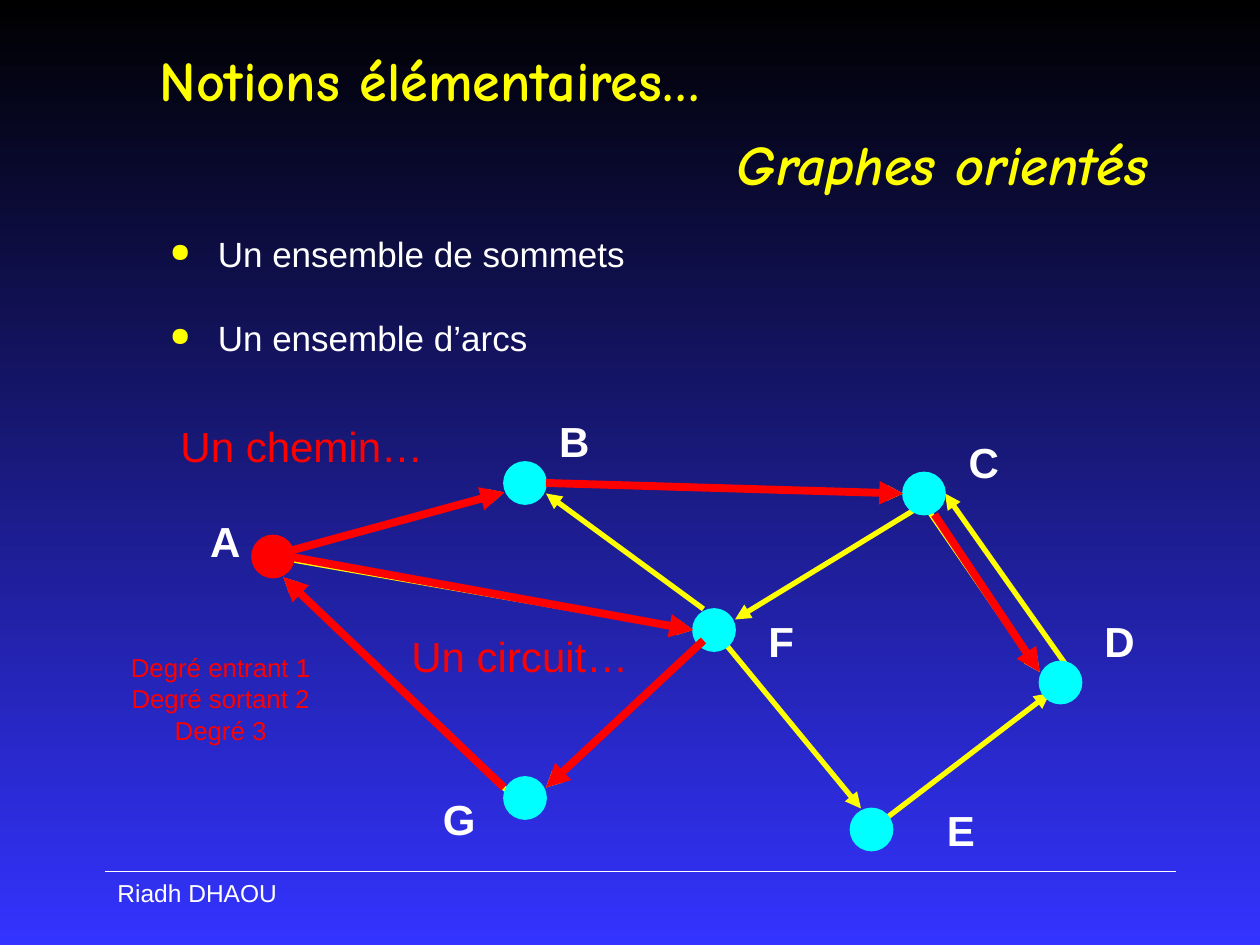
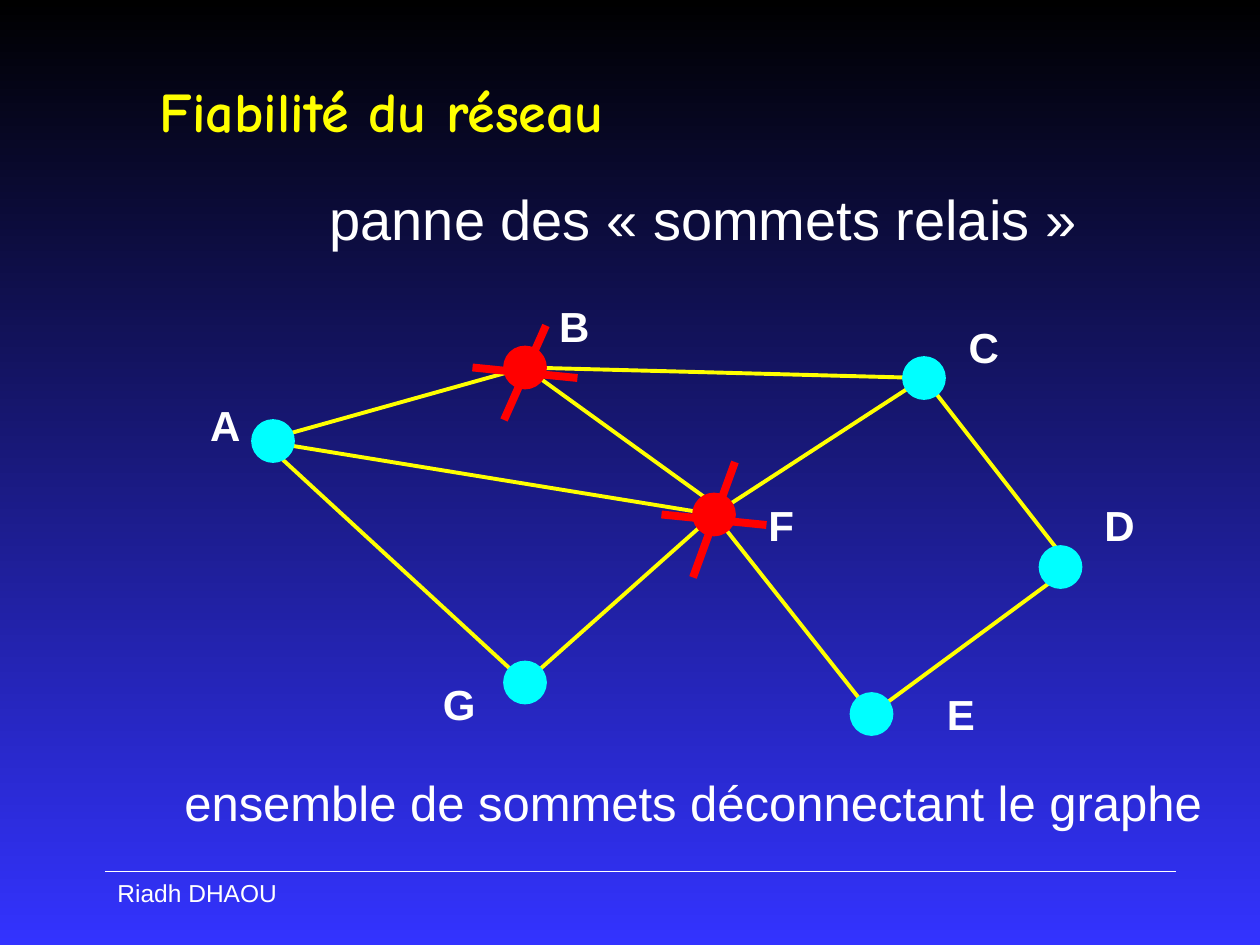
from typing import NamedTuple

from lxml import etree
from pptx import Presentation
from pptx import util as u
from pptx.dml.color import RGBColor
from pptx.enum import shapes, text
from pptx.oxml import ns

HUE = {"top": "000000", "base": "3333FF", "head": "FFFF00", "ink": "FFFFFF",
       "node": "00FFFF", "hot": "FF0000"}
SANS, HAND = "Arial", "Comic Neue"
COLS, ROWS = 120, 90  # grid of the slide, one cell is 1/12 inch
DOT = 4  # node size in cells
LIFT = 11  # rows the graph moves up on the second slide


class Node(NamedTuple):
    name: str
    col: float
    row: float
    tag: tuple[float, float]  # place of the label
    wide: float


class Edge(NamedTuple):
    start: tuple[float, float]
    end: tuple[float, float]


class Style(NamedTuple):
    size: float
    hue: str = "ink"
    font: str = SANS
    bold: bool = False
    slant: bool = False
    align: text.PP_ALIGN = text.PP_ALIGN.LEFT
    lead: float = 1.0
    gap: float = 0


HEAD = Style(32, "head", HAND, bold=True)
ITEM = Style(20, lead=0.9)
NOTE = Style(24, "hot", lead=0.9)
TAG = Style(24, bold=True)

NODES = [
    Node("A", 24, 51, (18.84, 48.5), 5.28),
    Node("B", 48, 44, (52.08, 39), 5.28),
    Node("C", 86, 45, (91.08, 41), 5.28),
    Node("D", 99, 63, (104, 58), 5.28),
    Node("E", 81, 77, (89, 76), 5.04),
    Node("F", 66, 58, (72, 58), 4.8),
    Node("G", 48, 74, (41, 75), 5.52),
]

# Arcs of the directed graph
AB = Edge((26, 52.9), (48, 46.9))
GA = Edge((48, 75), (27, 55))
ARCS = [
    Edge((102, 64), (90, 47)), AB, Edge((26, 53), (66, 60)),
    Edge((68, 60), (52, 75)), Edge((49, 76), (27, 55)),
    Edge((67, 58), (52, 47)), Edge((50, 46), (86, 47)),
    Edge((88, 48), (70, 59)), Edge((68, 60), (82, 77)),
    Edge((83, 79), (100, 66)), Edge((88, 48), (99, 64)),
]
WAY = [AB, Edge((52, 46), (86, 47)), Edge((89, 49), (99, 64))]
LOOP = [Edge((27, 52.9), (66, 60)), Edge((67, 61), (52, 75)), GA]
NEAR = [AB, GA, Edge((28, 53), (66, 60))]

# Links of the network; f is the upper joint of node F
ENDS = {"A": (25, 42), "B": (50, 35), "C": (88, 36), "D": (102, 54),
        "E": (83, 68), "F": (68, 49), "f": (68, 48), "G": (50, 65)}
LINKS = [Edge(ENDS[a], ENDS[b])
         for a, b in "AB Bf FG GA AF FC CD DE EF BC".split()]
CUTS = [Edge((66, 55), (70, 44)), Edge((63, 49), (73, 50)),
        Edge((52, 31), (48, 40)), Edge((45, 35), (55, 36))]


def cell(*vals: float) -> list[int]:
    return [u.Inches(v / 12) for v in vals]


def rgb(hue: str) -> RGBColor:
    return RGBColor.from_string(HUE[hue])


def sub(node, name: str, **keys: str):
    return etree.SubElement(node, ns.qn(name), **keys)


def bullet(para) -> None:
    props = para._p.get_or_add_pPr()
    props.set("marL", str(u.Inches(0.38)))
    props.set("indent", str(-u.Inches(0.38)))
    sub(sub(props, "a:buClr"), "a:srgbClr", val=HUE["head"])
    sub(props, "a:buSzPct", val="75000")
    sub(props, "a:buChar", char="●")


def write(shape, lines: list[str], style: Style, mid: bool = False,
          wrap: bool = True, dots: bool = False) -> None:
    frame = shape.text_frame
    frame.word_wrap = wrap
    frame.auto_size = text.MSO_AUTO_SIZE.NONE
    frame.vertical_anchor = (text.MSO_ANCHOR.MIDDLE if mid
                             else text.MSO_ANCHOR.TOP)
    frame.text = "\n".join(lines)
    for i, para in enumerate(frame.paragraphs):
        if dots:
            bullet(para)
        para.alignment = style.align
        para.line_spacing = style.lead
        para.space_before = u.Pt(style.gap if i else 0)
        font = para.font
        font.name, font.size = style.font, u.Pt(style.size)
        font.bold, font.italic = style.bold, style.slant
        font.color.rgb = rgb(style.hue)


def label(slide, box: tuple, lines: list[str], style: Style, **keys) -> None:
    write(slide.shapes.add_textbox(*cell(*box)), lines, style, **keys)


def draw(slide, edges: list[Edge], hue: str, width: float,
         arrow: bool = False) -> None:
    for edge in edges:
        line = slide.shapes.add_connector(
            shapes.MSO_CONNECTOR.STRAIGHT, *cell(*edge.start, *edge.end))
        line.line.color.rgb = rgb(hue)
        line.line.width = u.Pt(width)
        if arrow:
            sub(line.line._get_or_add_ln(), "a:tailEnd", type="triangle")
        sub(line._element.spPr, "a:effectLst")


def plot(slide, hot: str, lift: float = 0) -> None:
    """Draw the nodes and their letters; those in hot are red."""
    for node in NODES:
        dot = slide.shapes.add_shape(
            shapes.MSO_SHAPE.OVAL, *cell(node.col, node.row - lift, DOT, DOT))
        dot.shadow.inherit = False
        dot.fill.solid()
        hue = rgb("hot" if node.name in hot else "node")
        dot.fill.fore_color.rgb = dot.line.color.rgb = hue
        dot.line.width = u.Pt(1)
    for node in NODES:
        col, row = node.tag
        label(slide, (col, row - lift, node.wide, 6), [node.name], TAG,
              wrap=False)


def page(deck, name: str, tall: float):
    """Add a slide with its title and footer."""
    slide = deck.slides.add_slide(deck.slide_layouts.get_by_name("Title Only"))
    title = slide.shapes.title
    title.left, title.top, title.width, title.height = cell(14, 3, 102, tall)
    write(title, [name], HEAD, mid=True)
    draw(slide, [Edge((10, 83), (112, 83))], "ink", 1)
    label(slide, (10, 83, 23, 4), ["Riadh DHAOU"], Style(14))
    return slide


def graph(deck) -> None:
    slide = page(deck, "Notions élémentaires…", 9)
    label(slide, (69, 11, 47, 9), ["Graphes orientés"],
          HEAD._replace(slant=True), mid=True)
    for i, item in enumerate(["Un ensemble de sommets", "Un ensemble d’arcs"]):
        label(slide, (15, 22 + 8 * i, 78.6, 7.4), [item], ITEM, dots=True)
    draw(slide, ARCS, "head", 3, arrow=True)
    plot(slide, "A")
    # Path, circuit and degrees
    draw(slide, WAY + LOOP, "hot", 4.5, arrow=True)
    draw(slide, NEAR, "hot", 3, arrow=True)
    label(slide, (16, 40, 26, 7.4), ["Un chemin…"], NOTE)
    label(slide, (38, 60, 24, 7.4), ["Un circuit…"], NOTE)
    label(slide, (4, 62, 34, 10),
          ["Degré entrant 1", "Degré sortant 2", "Degré 3"],
          Style(14.8, "hot", align=text.PP_ALIGN.CENTER, lead=0.8, gap=4))


def fault(deck) -> None:
    slide = page(deck, "Fiabilité du réseau", 15)
    mid = text.PP_ALIGN.CENTER
    label(slide, (14, 17, 106, 8.5), ["panne des «\u00a0sommets relais\u00a0»"],
          Style(32, align=mid))
    draw(slide, LINKS, "head", 2.25)
    plot(slide, "BF", LIFT)
    label(slide, (12, 73, 108, 8.4),
          ["ensemble de sommets déconnectant le graphe"],
          Style(28, align=mid))
    # Crosses on the failed nodes
    draw(slide, CUTS, "hot", 4.5)


def main() -> None:
    deck = Presentation()
    deck.slide_width, deck.slide_height = cell(COLS, ROWS)
    # Shared background
    fill = deck.slide_master.background.fill
    fill.gradient()
    fill.gradient_angle = 270
    for stop, hue in zip(fill.gradient_stops, ("top", "base")):
        stop.color.rgb = rgb(hue)
    graph(deck)
    fault(deck)
    deck.save("out.pptx")


if __name__ == "__main__":
    main()
